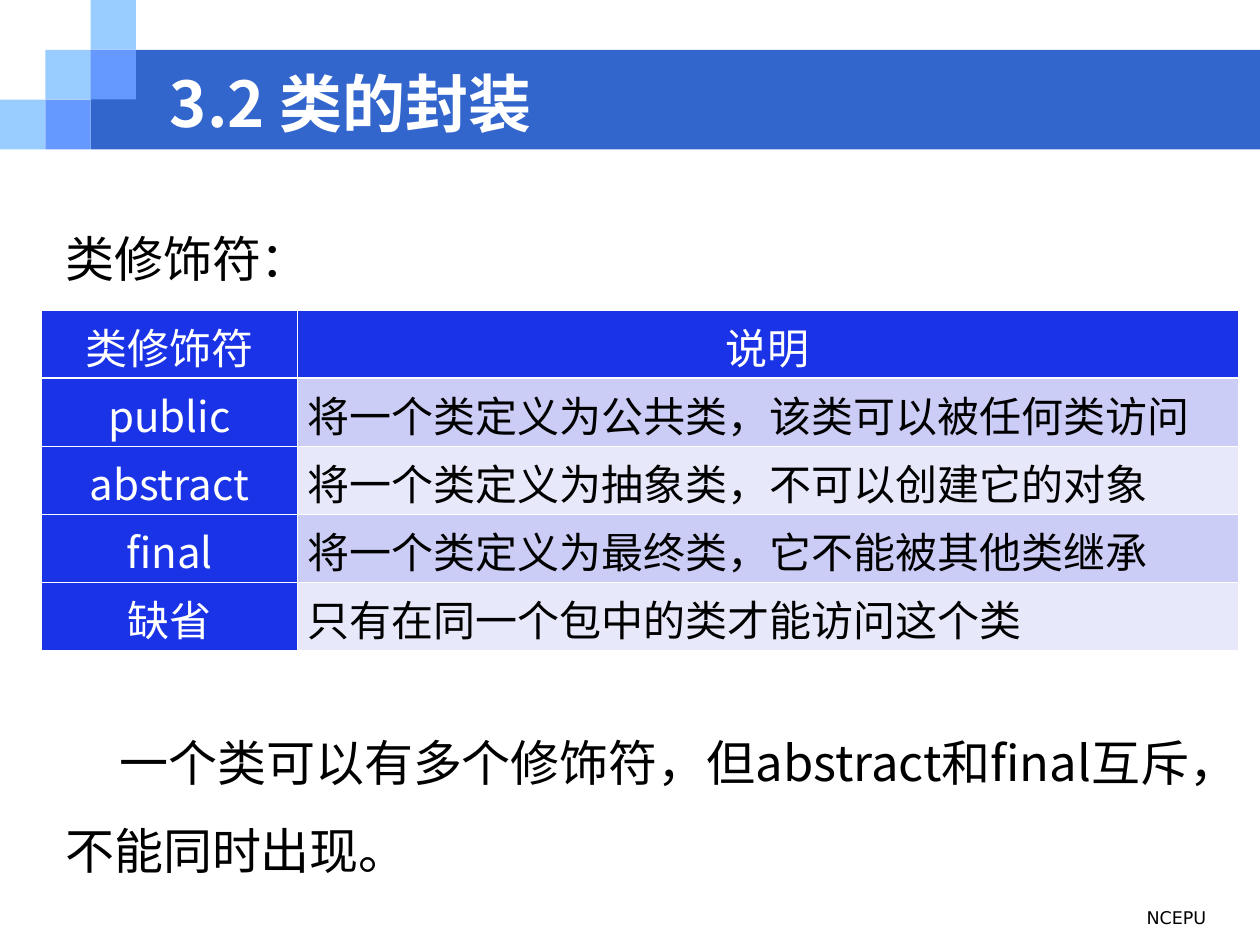
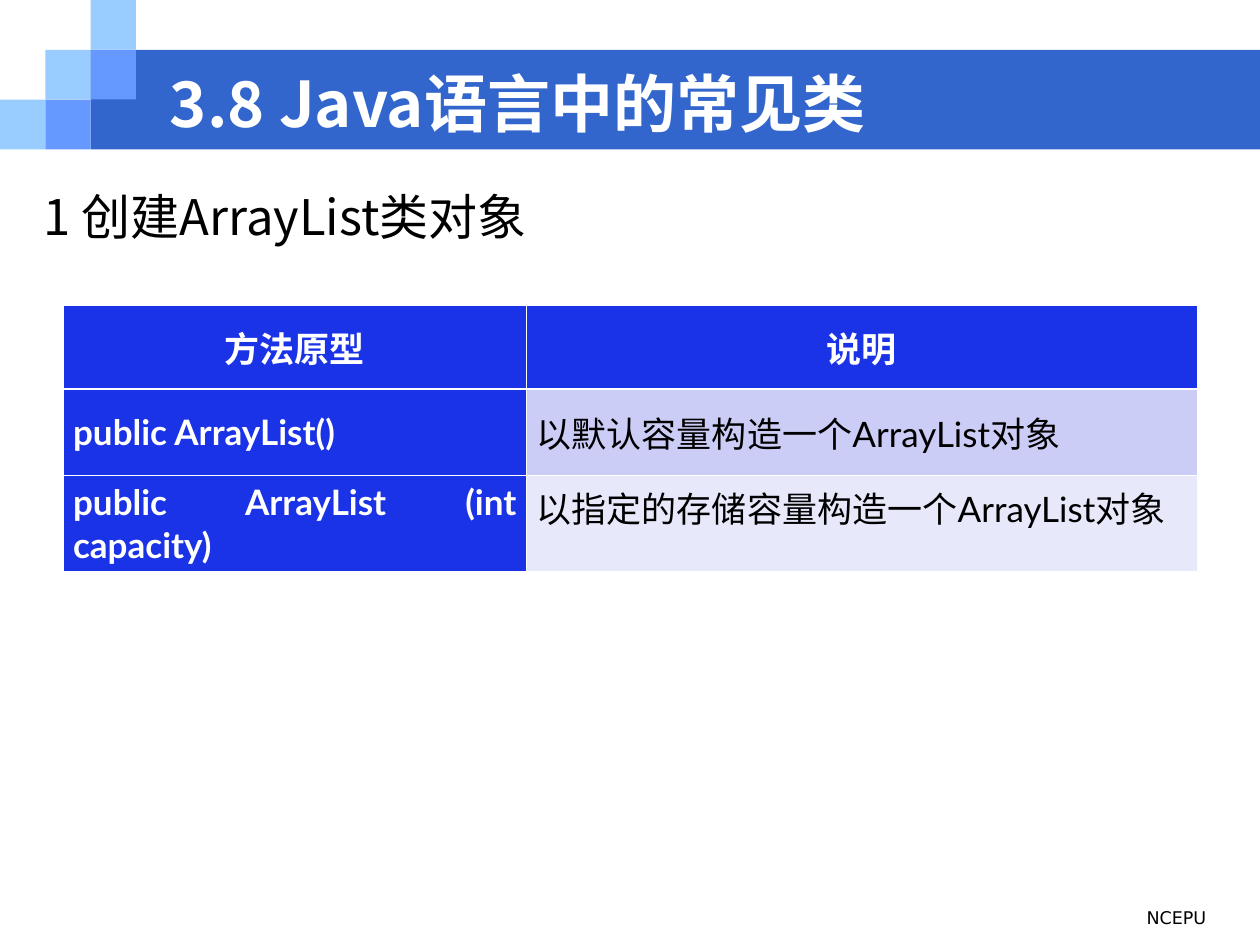
from lxml import etree
from pptx import Presentation
from pptx.dml.color import RGBColor
from pptx.enum.shapes import MSO_SHAPE as SHAPE
from pptx.enum.text import MSO_ANCHOR as ANCHOR, PP_ALIGN as ALIGN
from pptx.oxml.ns import qn
from pptx.util import Inches, Pt

WHITE = RGBColor(0xFF, 0xFF, 0xFF)
BLACK = RGBColor(0x00, 0x00, 0x00)
BAND = RGBColor(0x33, 0x66, 0xCC)
SKY = RGBColor(0x99, 0xCC, 0xFF)
AZURE = RGBColor(0x66, 0x99, 0xFF)
HEADER = RGBColor(0x1B, 0x33, 0xE7)
STRIPES = (RGBColor(0xCC, 0xCD, 0xF6), RGBColor(0xE7, 0xE8, 0xFA))

CJK, LATIN, SANS = "Noto Sans CJK SC", "Lato", "DejaVu Sans"
SLIDE_W, SLIDE_H = 10, 7.5
COL, ROW = 0.36, 0.395
SQUARES = ((0, 2, SKY), (1, 1, SKY), (2, 0, SKY), (2, 1, AZURE), (1, 2, AZURE))
THIN, THICK = 0.45, 1.47

MODIFIERS = (
    ("类修饰符", "说明"),
    ("public", "将一个类定义为公共类，该类可以被任何类访问"),
    ("abstract", "将一个类定义为抽象类，不可以创建它的对象"),
    ("final", "将一个类定义为最终类，它不能被其他类继承"),
    ("缺省", "只有在同一个包中的类才能访问这个类"),
)
CONSTRUCTORS = (
    ("方法原型", "说明"),
    ("public ArrayList()", "以默认容量构造一个ArrayList对象"),
    ("public ArrayList (int capacity)", "以指定的存储容量构造一个ArrayList对象"),
)


def write(tf, text, size, color, font=CJK, bold=False, align=ALIGN.LEFT):
    """Fill the first paragraph of a text frame and return it."""
    p = tf.paragraphs[0]
    r = p.add_run()
    r.text = text
    p.alignment = align
    for f in (p.font, r.font):
        f.name, f.size, f.bold = font, Pt(size), bold
        f.color.rgb = color
    east = etree.Element(qn("a:ea"), typeface=CJK)
    r.font._element.find(qn("a:latin")).addnext(east)
    return p


def add_text(s, box, text, size, color=BLACK, anchor=ANCHOR.TOP, **style):
    """Add a wrapping text box and return its paragraph."""
    tf = s.shapes.add_textbox(*map(Inches, box)).text_frame
    tf.word_wrap = True
    tf.vertical_anchor = anchor
    return write(tf, text, size, color, **style), tf


def add_body(s, box, text, indent=0):
    """Add a body paragraph with wide line spacing."""
    p, tf = add_text(s, box, text, 28)
    tf.margin_top = Inches(0.08)
    p.line_spacing = Pt(50.3)
    if indent:
        p._p.get_or_add_pPr().set("indent", str(Inches(indent)))


def add_block(s, col, row, width, height, color):
    """Add a plain rectangle on the header grid."""
    sp = s.shapes.add_shape(SHAPE.RECTANGLE, Inches(col * COL), Inches(row * ROW),
                            Inches(width), Inches(height))
    sp.shadow.inherit = False
    sp.fill.solid()
    sp.fill.fore_color.rgb = color
    sp.line.fill.background()


def add_slide(prs, title):
    """Add a slide with header band, squares, footer and title."""
    s = prs.slides.add_slide(prs.slide_layouts[6])
    add_block(s, 2, 1, SLIDE_W - 2 * COL, 2 * ROW, BAND)
    for col, row, color in SQUARES:
        add_block(s, col, row, COL, ROW, color)
    add_text(s, (6.5, 7.15, 3.17, 0.35), "NCEPU", 10, font=SANS, align=ALIGN.RIGHT)
    add_text(s, (1.25, 0.55, 8.08, 0.53), title, 36, WHITE, ANCHOR.MIDDLE, bold=True)
    return s


def set_borders(cell, top, bottom):
    """Draw white borders round a cell."""
    pr = cell._tc.get_or_add_tcPr()
    widths = (("lnL", THIN), ("lnR", THIN), ("lnT", top), ("lnB", bottom))
    for i, (tag, width) in enumerate(widths):
        ln = etree.Element(qn(f"a:{tag}"), w=str(Pt(width)))
        fill = etree.SubElement(ln, qn("a:solidFill"))
        etree.SubElement(fill, qn("a:srgbClr"), val=str(WHITE))
        pr.insert(i, ln)


def add_grid(s, left, top, widths, heights, rows, size, font, bold, aligns):
    """Add a table with a blue header row and column and striped cells."""
    table = s.shapes.add_table(len(rows), len(widths), Inches(left), Inches(top),
                               Inches(sum(widths)), Inches(sum(heights))).table
    for column, width in zip(table.columns, widths):
        column.width = Inches(width)
    for i, texts in enumerate(rows):
        table.rows[i].height = Inches(heights[i])
        for j, text in enumerate(texts):
            cell = table.cell(i, j)
            head = i == 0 or j == 0
            cell.fill.solid()
            cell.fill.fore_color.rgb = HEADER if head else STRIPES[(i - 1) % 2]
            cell.margin_left = cell.margin_right = Inches(0.08)
            align = aligns[i][j]
            justified = align == ALIGN.JUSTIFY
            cell.vertical_anchor = ANCHOR.TOP if justified else ANCHOR.MIDDLE
            write(cell.text_frame, text, size, WHITE if head else BLACK,
                  font, bold and head, align)
            set_borders(cell, THICK if i == 1 else THIN, THICK if i == 0 else THIN)


def main():
    """Build the two slides."""
    prs = Presentation()
    prs.slide_width, prs.slide_height = Inches(SLIDE_W), Inches(SLIDE_H)

    s = add_slide(prs, "3.2 类的封装")
    add_body(s, (0.42, 1.5, 9.33, 0.9), "类修饰符：")
    add_body(s, (0.42, 5.5, 9.33, 1.75),
             "一个类可以有多个修饰符，但abstract和final互斥，不能同时出现。", indent=0.43)
    aligns = [(ALIGN.CENTER, ALIGN.CENTER)] + [(ALIGN.CENTER, ALIGN.LEFT)] * 4
    add_grid(s, 0.33, 2.46, (2.03, 7.47), [0.54] * 5, MODIFIERS, 24, CJK, False, aligns)

    s = add_slide(prs, "3.8 Java语言中的常见类")
    add_body(s, (0.25, 1.17, 9.58, 0.9), "1 创建ArrayList类对象")
    aligns = [(a, a) for a in (ALIGN.CENTER, ALIGN.LEFT, ALIGN.JUSTIFY)]
    add_grid(s, 0.5, 2.42, (3.68, 5.32), (0.67, 0.68, 0.67), CONSTRUCTORS,
             20, LATIN, True, aligns)

    prs.save("out.pptx")


if __name__ == "__main__":
    main()
